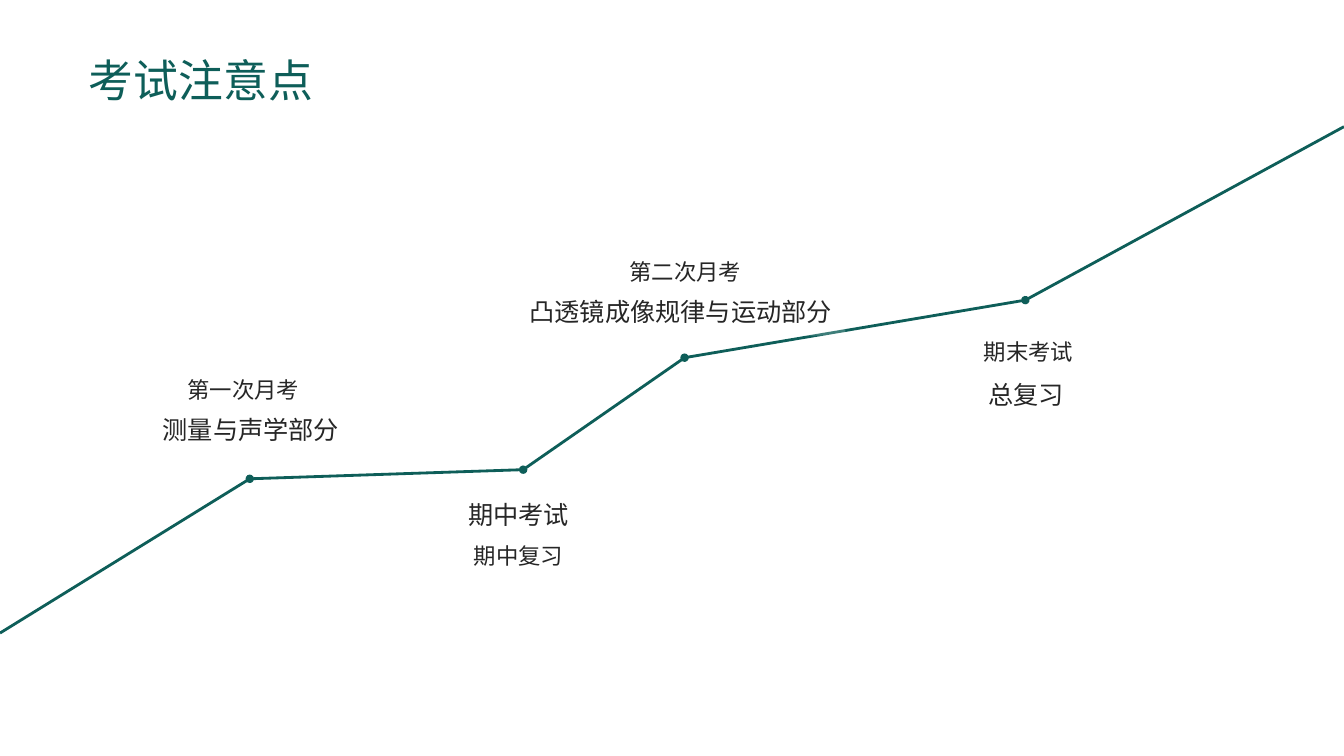
import pptx
import pptx.util
import pptx.dml.color
import pptx.enum.shapes
import pptx.enum.text
import pptx.oxml.ns
from lxml import etree

Pt = pptx.util.Pt
qn = pptx.oxml.ns.qn
PP_ALIGN = pptx.enum.text.PP_ALIGN
COLORS = {"teal": "0E5E59", "ink": "262626", "panel": "FFFFFF"}
FONT = "Noto Sans CJK SC"


def rgb(name):
    return pptx.dml.color.RGBColor.from_string(COLORS[name])


def write_text(holder, text, size, color, align):
    frame = holder.text_frame
    frame.text = text
    frame.word_wrap = True
    frame.auto_size = pptx.enum.text.MSO_AUTO_SIZE.NONE
    frame.vertical_anchor = pptx.enum.text.MSO_ANCHOR.MIDDLE
    frame.margin_top = frame.margin_bottom = 0
    paragraph = frame.paragraphs[0]
    paragraph.alignment = align
    font = paragraph.runs[0].font
    font.size = Pt(size)
    font.name = FONT
    font.color.rgb = rgb(color)
    etree.SubElement(paragraph.runs[0]._r.rPr, qn("a:ea"), typeface=FONT)


deck = pptx.Presentation()
deck.slide_width, deck.slide_height = Pt(960), Pt(540)
slide = deck.slides.add_slide(deck.slide_layouts[5])

title = slide.shapes.title
title.left, title.top, title.width, title.height = Pt(56.2), Pt(33.8), Pt(224), Pt(46)
write_text(title, "考试注意点", 32, "teal", PP_ALIGN.LEFT)

route = [(0, 452.2), (178.4, 342), (373.7, 335.5), (489, 255.5), (732.4, 214.4), (960, 90.5)]
for start, end in zip(route, route[1:]):
    segment = slide.shapes.add_connector(
        pptx.enum.shapes.MSO_CONNECTOR.STRAIGHT, *[Pt(v) for v in start + end])
    segment.line.color.rgb = rgb("teal")
    segment.line.width = Pt(2)
    if end != route[-1]:
        etree.SubElement(segment.line._get_or_add_ln(), qn("a:tailEnd"), type="oval")
    etree.SubElement(segment._element.spPr, qn("a:effectLst"))

topics = [
    ("测量与声学部分", 87.8, 289.4, 182.9),
    ("期中考试", 313.2, 349.9, 114.5),
    ("凸透镜成像规律与运动部分", 368.6, 205.2, 235.4),
    ("总复习", 669.6, 264.2, 126.7),
]
for text, left, top, width in topics:
    topic = slide.shapes.add_shape(
        pptx.enum.shapes.MSO_SHAPE.RECTANGLE, Pt(left), Pt(top), Pt(width), Pt(34.6))
    topic.shadow.inherit = False
    topic.fill.solid()
    topic.fill.fore_color.rgb = rgb("panel")
    panel_color = topic._element.spPr.find(qn("a:solidFill"))[0]
    etree.SubElement(panel_color, qn("a:alpha"), val="20000")
    topic.line.fill.background()
    write_text(topic, text, 18, "ink", PP_ALIGN.CENTER)

exams = [
    ("第一次月考", 38.9, 265, 270),
    ("期中复习", 226.8, 383.8, 287.3),
    ("第二次月考", 337.7, 180.7, 303.8),
    ("期末考试", 601.2, 237.6, 267.1),
]
for text, left, top, width in exams:
    exam = slide.shapes.add_textbox(Pt(left), Pt(top), Pt(width), Pt(26.6))
    write_text(exam, text, 16, "ink", PP_ALIGN.CENTER)

deck.save("out.pptx")
